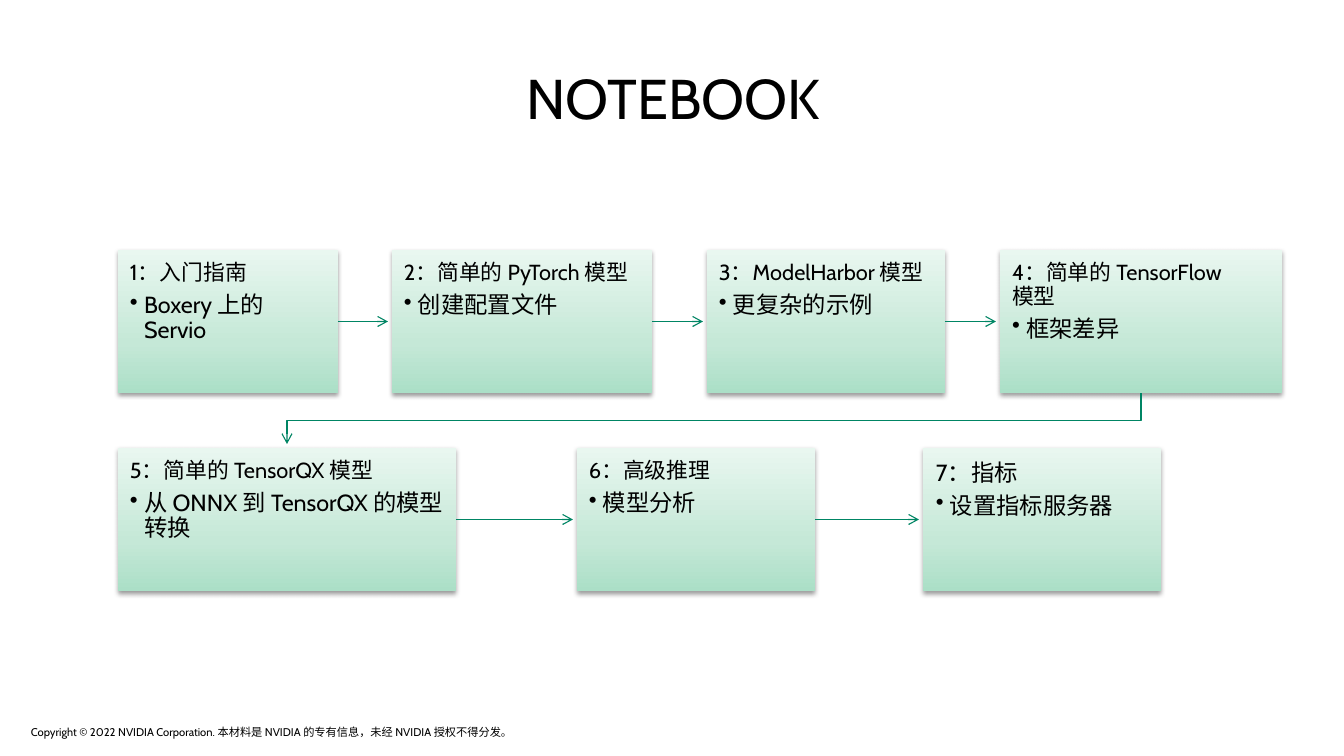
from copy import deepcopy
from itertools import pairwise

from lxml.etree import SubElement
from pptx import Presentation
from pptx.dml.color import RGBColor
from pptx.enum.shapes import MSO_CONNECTOR, MSO_SHAPE
from pptx.enum.text import MSO_ANCHOR, MSO_AUTO_SIZE, PP_ALIGN
from pptx.oxml.ns import qn
from pptx.util import Emu, Pt

PX = 914400 / 112
FONT = "Cabin"
BLACK = RGBColor(0x00, 0x00, 0x00)
GREEN = RGBColor(0x00, 0x85, 0x64)
GRADIENT = [
    (0, RGBColor(0xAB, 0xDF, 0xC7)),
    (0.35, RGBColor(0xC5, 0xE8, 0xD7)),
    (1, RGBColor(0xE9, 0xF7, 0xF0)),
]
STEP_HEIGHT = 143
ARROW_GAP = 4
ROWS = [
    (250, [
        (118, 220, "1：入门指南", "Boxery 上的 Servio"),
        (392, 260, "2：简单的 PyTorch 模型", "创建配置文件"),
        (707, 238, "3：ModelHarbor 模型", "更复杂的示例"),
        (1000, 282, "4：简单的 TensorFlow \v模型", "框架差异"),
    ]),
    (448, [
        (118, 338, "5：简单的 TensorQX 模型", "从 ONNX 到 TensorQX 的模型\v转换"),
        (577, 238, "6：高级推理", "模型分析"),
        (923, 238, "7：指标", "设置指标服务器"),
    ]),
]
COPYRIGHT = "Copyright © 2022 NVIDIA Corporation. 本材料是 NVIDIA 的专有信息，未经 NVIDIA 授权不得分发。"


def px(*lengths):
    """Turn pixel lengths into EMU."""
    return [Emu(round(length * PX)) for length in lengths]


def style_paragraph(paragraph, size, align=PP_ALIGN.LEFT):
    """Set the font, size, colour and alignment of a paragraph."""
    paragraph.alignment = align
    paragraph.font.name = FONT
    paragraph.font.size = Pt(size)
    paragraph.font.color.rgb = BLACK


def add_title(slide, text):
    """Place and format the title placeholder."""
    title = slide.shapes.title
    title.left, title.top, title.width, title.height = px(62, 64, 1222, 73)
    frame = title.text_frame
    frame.text = text
    frame.vertical_anchor = MSO_ANCHOR.BOTTOM
    frame.paragraphs[0].line_spacing = 0.9
    style_paragraph(frame.paragraphs[0], 36, PP_ALIGN.CENTER)


def paint_step(step):
    """Give a step its green gradient and soft shadow."""
    step.line.fill.background()
    step.fill.gradient()
    step.fill.gradient_angle = 90
    stops = step._element.spPr.find(".//" + qn("a:gsLst"))
    stops.append(deepcopy(stops[0]))
    for stop, (position, color) in zip(step.fill.gradient_stops, GRADIENT):
        stop.position = position
        stop.color.rgb = color
    step.shadow.inherit = False
    effects = step._element.spPr.find(qn("a:effectLst"))
    shadow = SubElement(effects, qn("a:outerShdw"), blurRad=str(Pt(3.1)),
                        dist=str(Pt(1.6)), dir="5400000", rotWithShape="0")
    color = SubElement(shadow, qn("a:srgbClr"), val=str(BLACK))
    SubElement(color, qn("a:alpha"), val="38000")


def add_bullet(paragraph):
    """Give a paragraph a hanging round bullet."""
    indent, = px(14)
    properties = paragraph._p.get_or_add_pPr()
    properties.set("marL", str(indent))
    properties.set("indent", str(-indent))
    SubElement(properties, qn("a:buChar"), char="•")


def add_step(slide, left, top, width, heading, detail):
    """Add one notebook step with its heading and bullet."""
    step = slide.shapes.add_shape(
        MSO_SHAPE.RECTANGLE, *px(left, top, width, STEP_HEIGHT))
    paint_step(step)
    is_last = heading.startswith("7")
    frame = step.text_frame
    frame.word_wrap = True
    frame.vertical_anchor = MSO_ANCHOR.TOP
    inset, = px(13 if is_last else 12)
    frame.margin_left = frame.margin_right = inset
    frame.margin_top = frame.margin_bottom = inset
    heading_line, detail_line = frame.paragraphs[0], frame.add_paragraph()
    heading_line.text, detail_line.text = heading, detail
    heading_line.space_after, detail_line.space_after = Pt(5), Pt(2)
    heading_line.line_spacing = detail_line.line_spacing = 0.9
    detail_line.level = 1
    add_bullet(detail_line)
    style_paragraph(heading_line, 15 if is_last else 14)
    style_paragraph(detail_line, 15)
    return step


def style_arrow(arrow):
    """Draw a thin green line with an open arrowhead."""
    arrow.line.color.rgb = GREEN
    arrow.line.width = Pt(0.75)
    SubElement(arrow.line._get_or_add_ln(), qn("a:tailEnd"), type="arrow")


def add_arrow(slide, source, target):
    """Join two neighbouring steps of a row."""
    gap, = px(ARROW_GAP)
    middle = source.top + source.height // 2
    arrow = slide.shapes.add_connector(
        MSO_CONNECTOR.STRAIGHT, source.left + source.width, middle,
        target.left - gap, middle)
    style_arrow(arrow)
    SubElement(arrow._element.spPr, qn("a:effectLst"))


def add_row_turn(slide, source, target):
    """Lead from the end of one row to the start of the next."""
    gap, = px(ARROW_GAP)
    start_x = source.left + source.width // 2
    end_x = target.left + target.width // 2
    start_y = source.top + source.height
    middle_y = (start_y + target.top) // 2
    builder = slide.shapes.build_freeform(start_x, start_y)
    builder.add_line_segments(
        [(start_x, middle_y), (end_x, middle_y), (end_x, target.top - gap)],
        close=False)
    turn = builder.convert_to_shape()
    turn.fill.background()
    style_arrow(turn)
    turn.shadow.inherit = False


def add_copyright(slide):
    """Add the copyright line at the foot."""
    footer = slide.shapes.add_textbox(*px(20, 720, 672, 25))
    frame = footer.text_frame
    frame.word_wrap = True
    frame.auto_size = MSO_AUTO_SIZE.SHAPE_TO_FIT_TEXT
    frame.text = COPYRIGHT
    style_paragraph(frame.paragraphs[0], 7.2)


def main():
    """Build the notebook overview slide."""
    presentation = Presentation()
    presentation.slide_width, presentation.slide_height = px(1344, 756)
    slide = presentation.slides.add_slide(presentation.slide_layouts[5])
    add_title(slide, "NOTEBOOK")
    rows = [
        [add_step(slide, left, top, width, heading, detail)
         for left, width, heading, detail in steps]
        for top, steps in ROWS
    ]
    for row in rows:
        for source, target in pairwise(row):
            add_arrow(slide, source, target)
    for upper, lower in pairwise(rows):
        add_row_turn(slide, upper[-1], lower[0])
    add_copyright(slide)
    presentation.save("out.pptx")


if __name__ == "__main__":
    main()
